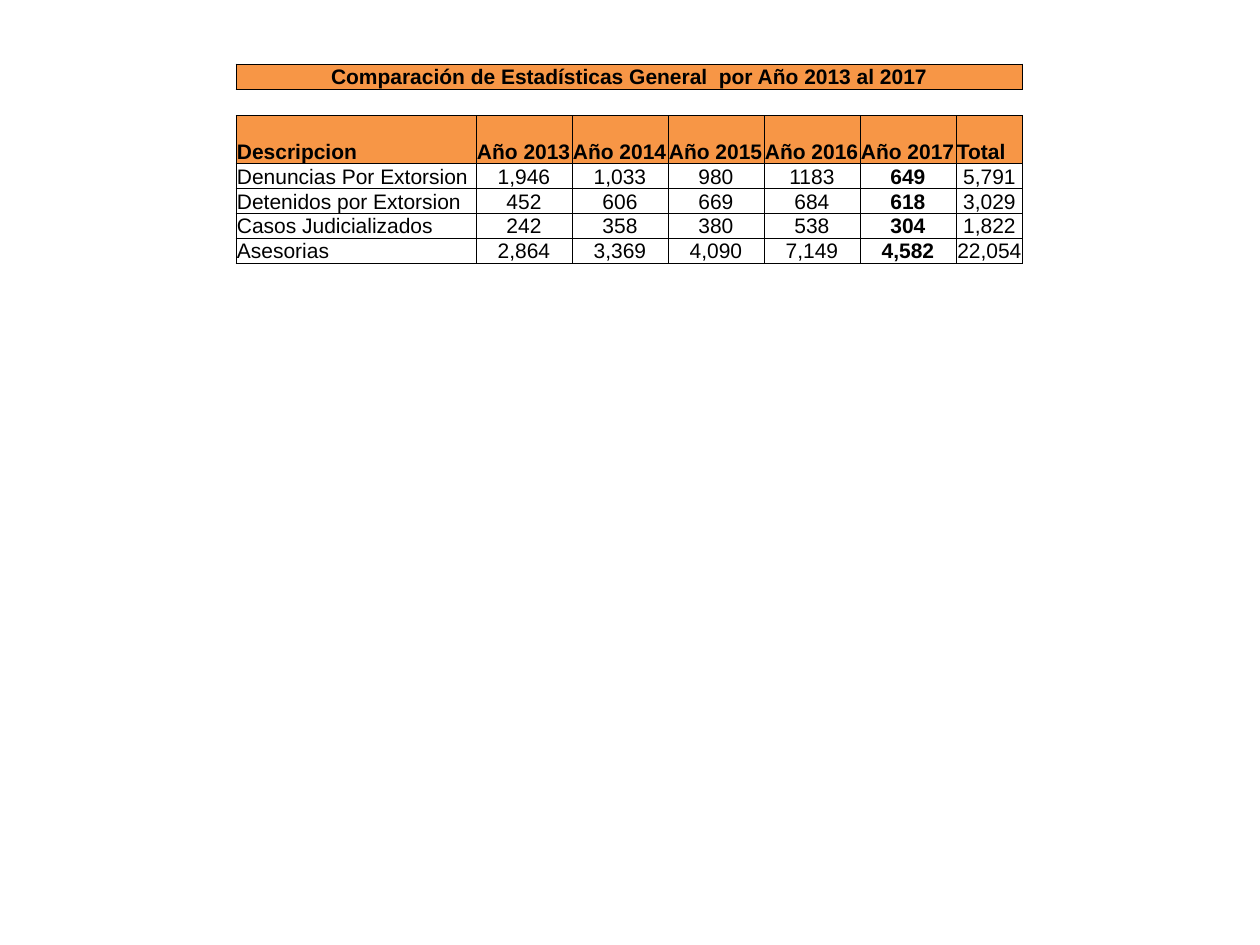
from lxml.etree import SubElement
from pptx import Presentation
from pptx.dml.color import RGBColor
from pptx.enum.text import MSO_ANCHOR, PP_ALIGN
from pptx.oxml.ns import qn
from pptx.util import Pt

PX = 914400 // 126
COLORS = {"head": "F79646", "cell": "FFFFFF", "ink": "000000"}
TITLE = "Comparación de Estadísticas General  por Año 2013 al 2017"
HEAD = ["Descripcion", "Año 2013", "Año 2014", "Año 2015", "Año 2016", "Año 2017", "Total"]
DATA = [
    ["Denuncias Por Extorsion", "1,946", "1,033", "980", "1183", "649", "5,791"],
    ["Detenidos por Extorsion", "452", "606", "669", "684", "618", "3,029"],
    ["Casos Judicializados", "242", "358", "380", "538", "304", "1,822"],
    ["Asesorias", "2,864", "3,369", "4,090", "7,149", "4,582", "22,054"],
]
LEFT, TOP = 236, 64
COLS = [240] + [96] * 5 + [67]
ROWS = [25, 25, 48] + [25] * len(DATA)
LAST = len(COLS) - 1
BOLD = LAST - 1
NO_STYLE = "{2D5ABB26-0587-4C30-8999-92F81FD0307C}"
CELL = {
    "vertical_anchor": MSO_ANCHOR.BOTTOM,
    "margin_left": PX, "margin_right": PX, "margin_top": PX, "margin_bottom": 0,
}
FONT = {"name": "Arial", "size": Pt(12)}


def assign(item, values):
    for name, value in values.items():
        setattr(item, name, value)


def border(cell, sides):
    props = cell._tc.get_or_add_tcPr()
    for side in "LRTB":
        line = SubElement(props, qn(f"a:ln{side}"), w=str(Pt(0.5)))
        if side in sides:
            fill = SubElement(line, qn("a:solidFill"))
            SubElement(fill, qn("a:srgbClr"), val=COLORS["ink"])
        else:
            SubElement(line, qn("a:noFill"))


def style(cell, sides="LRTB", color=None):
    assign(cell, CELL)
    border(cell, sides)
    if color:
        cell.fill.solid()
        cell.fill.fore_color.rgb = RGBColor.from_string(COLORS[color])
    else:
        cell.fill.background()


def write(cell, text, bold, center):
    para = cell.text_frame.paragraphs[0]
    para.alignment = PP_ALIGN.CENTER if center else PP_ALIGN.LEFT
    run = para.add_run()
    run.text = text
    assign(run.font, {**FONT, "bold": bold})
    run.font.color.rgb = RGBColor.from_string(COLORS["ink"])


deck = Presentation()
deck.slide_width, deck.slide_height = 1260 * PX, 945 * PX
slide = deck.slides.add_slide(deck.slide_layouts[6])
frame = slide.shapes.add_table(
    len(ROWS), len(COLS), LEFT * PX, TOP * PX, sum(COLS) * PX, sum(ROWS) * PX)
table = frame.table
assign(table, {"first_row": False, "horz_banding": False})
table._tbl.tblPr.find(qn("a:tableStyleId")).text = NO_STYLE
for col, width in zip(table.columns, COLS):
    col.width = width * PX
for row, height in zip(table.rows, ROWS):
    row.height = height * PX

table.cell(0, 0).merge(table.cell(0, LAST))
table.cell(1, 0).merge(table.cell(1, 2))
write(table.cell(0, 0), TITLE, True, True)
for c, text in enumerate(HEAD):
    style(table.cell(0, c), color="head")
    gap = table.cell(1, c)
    style(gap, "TB")
    end = SubElement(gap.text_frame.paragraphs[0]._p, qn("a:endParaRPr"))
    end.set("sz", "1200")
    style(table.cell(2, c), color="head")
    write(table.cell(2, c), text, True, False)

for r, line in enumerate(DATA):
    for c, text in enumerate(line):
        cell = table.cell(r + 3, c)
        clear = c in (0, LAST) or c < r
        style(cell, color=None if clear else "cell")
        write(cell, text, c == BOLD, c > 0)

deck.save("out.pptx")
